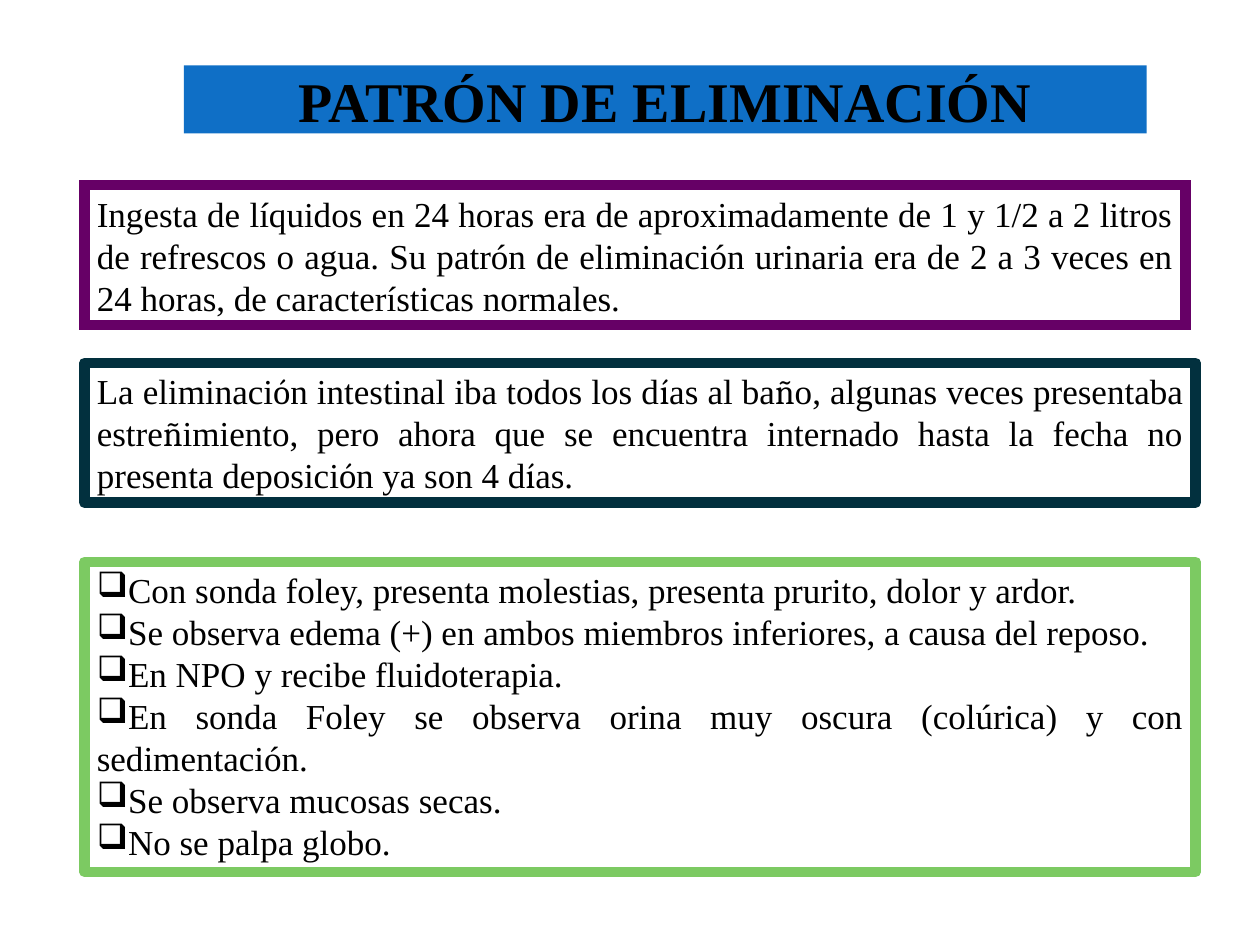
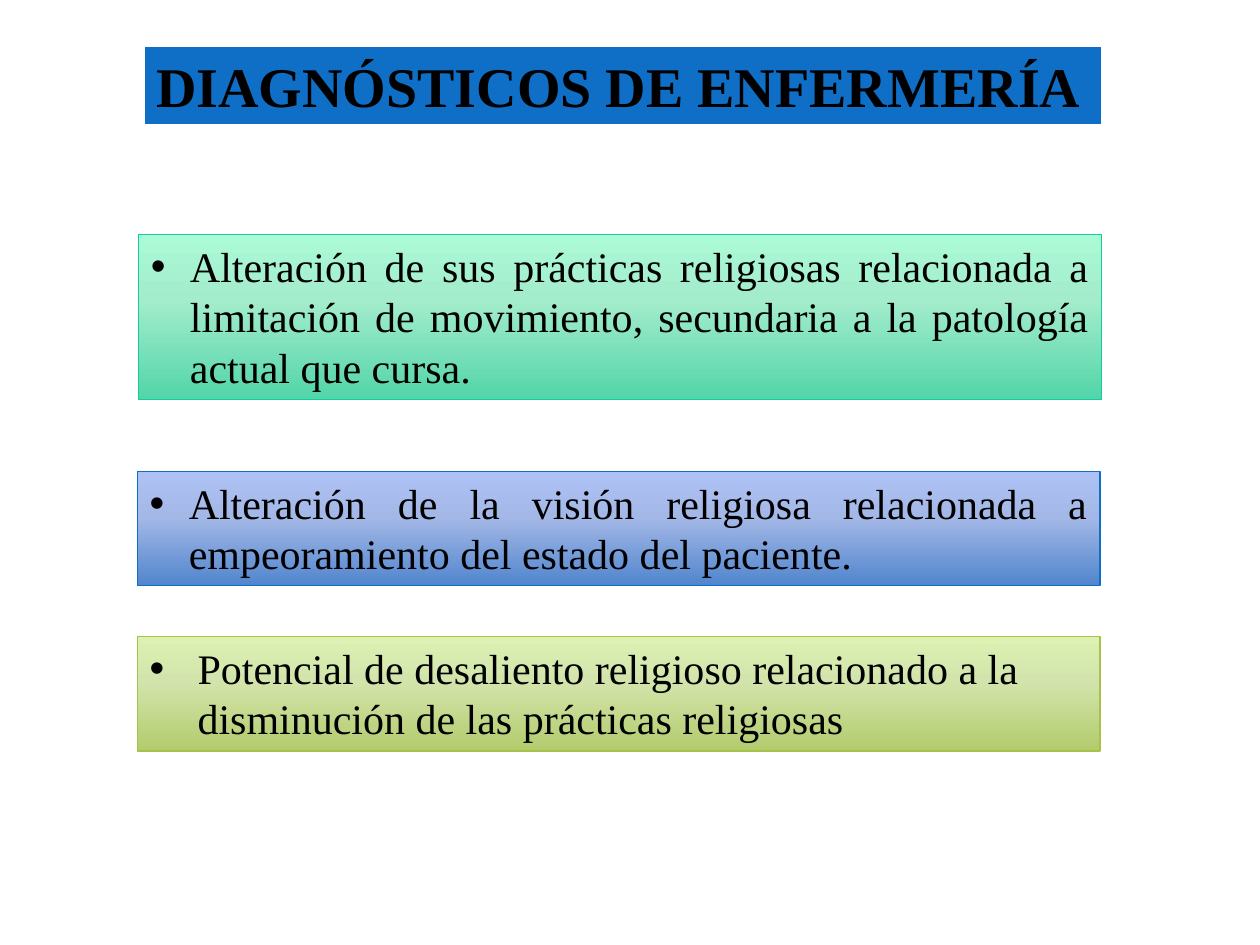
import dataclasses
import itertools

import lxml.etree
import pptx
import pptx.dml.color
import pptx.enum.text
import pptx.oxml.ns
import pptx.util

ALIGN = pptx.enum.text.PP_ALIGN
ANCHOR = pptx.enum.text.MSO_ANCHOR


@dataclasses.dataclass(frozen=True)
class Theme:
    columns: int = 100
    rows: int = 75
    font: str = "Times New Roman"
    accent_font: str = "Cambria"
    ink: str = "000000"
    paper: str = "FFFFFF"
    band: str = "0F6FC6"
    purple: str = "660066"
    navy: str = "02303E"
    green: str = "7CCA62"
    mint: tuple = ("ABFAD6", "A3ECCC", "52D5A9")
    mint_edge: str = "10CF9B"
    sky: tuple = ("ADC1F5", "A4B8E7", "5085CD")
    lime: tuple = ("DDF1B4", "D2E4AB", "B3CB6C")
    lime_edge: str = "A5C249"
    stops: tuple = (0, 40, 100)
    frame_width: float = 6
    edge_width: float = 0.75
    title_size: float = 32
    finding_size: float = 20
    diagnosis_size: float = 24


def rgb(code):
    return pptx.dml.color.RGBColor.from_string(code)


def apply(target, values):
    for name, value in values.items():
        setattr(target, name, value)


def add_element(parent, tag, **attributes):
    return lxml.etree.SubElement(parent, pptx.oxml.ns.qn(tag), attributes)


class Composer:
    def __init__(self, theme):
        self.theme = theme
        self.deck = pptx.Presentation()
        apply(self.deck, {"slide_width": pptx.util.Inches(10),
                          "slide_height": pptx.util.Inches(7.5)})
        self.page = None

    def new_page(self):
        self.page = self.deck.slides.add_slide(self.deck.slide_layouts[6])

    def place(self, column, row, width, height):
        across = self.deck.slide_width / self.theme.columns
        down = self.deck.slide_height / self.theme.rows
        return [round(count * step) for count, step in
                zip((column, row, width, height), (across, down, across, down))]

    def box(self, area, **frame):
        shape = self.page.shapes.add_textbox(*self.place(*area))
        apply(shape.text_frame, {"word_wrap": True, **frame})
        return shape

    def outline(self, box, color, width, join="a:round"):
        box.line.color.rgb = rgb(color)
        box.line.width = pptx.util.Pt(width)
        limit = {"lim": "800000"} if join == "a:miter" else {}
        line = box._element.spPr.find(pptx.oxml.ns.qn("a:ln"))
        add_element(line, join, **limit)

    def shade(self, box, colors):
        box.fill.gradient()
        box.fill.gradient_angle = 270
        stop_list = box._element.spPr.find(".//" + pptx.oxml.ns.qn("a:gsLst"))
        for stop in list(stop_list):
            stop_list.remove(stop)
        for position, color in zip(self.theme.stops, colors):
            stop = add_element(stop_list, "a:gs", pos=str(position * 1000))
            add_element(stop, "a:srgbClr", val=color)

    def bullet(self, para, symbol, indent=0):
        properties = para._p.get_or_add_pPr()
        offset = pptx.util.Inches(indent)
        properties.set("marL", str(offset))
        properties.set("indent", str(-offset))
        if symbol == "•":
            add_element(properties, "a:buFont", typeface="Arial")
        add_element(properties, "a:buChar", char=symbol)

    def fill_para(self, para, text, size, align=ALIGN.JUSTIFY, bold=False, accents=""):
        para.alignment = align
        for accented, letters in itertools.groupby(text, lambda letter: letter in accents):
            span = para.add_run()
            span.text = "".join(letters)
            apply(span.font, {
                "name": self.theme.accent_font if accented else self.theme.font,
                "size": pptx.util.Pt(size),
                "bold": bold,
            })
            span.font.color.rgb = rgb(self.theme.ink)

    def title(self, area, text, align, **frame):
        box = self.box(area, **frame)
        box.fill.solid()
        box.fill.fore_color.rgb = rgb(self.theme.band)
        self.fill_para(box.text_frame.paragraphs[0], text, self.theme.title_size, align,
                       bold=True)
        return box

    def finding(self, area, color, lines, symbol=None, join="a:round", accents="", **frame):
        box = self.box(area, **frame)
        self.outline(box, color, self.theme.frame_width, join)
        for index, line in enumerate(lines):
            body = box.text_frame
            para = body.add_paragraph() if index else body.paragraphs[0]
            if symbol:
                self.bullet(para, symbol)
            self.fill_para(para, line, self.theme.finding_size, accents=accents)

    def diagnosis(self, area, colors, edge, text, indent=0.31, align=ALIGN.JUSTIFY):
        box = self.box(area)
        self.shade(box, colors)
        self.outline(box, edge, self.theme.edge_width)
        para = box.text_frame.paragraphs[0]
        self.bullet(para, "•", indent)
        self.fill_para(para, text, self.theme.diagnosis_size, align)


def elimination_page(composer):
    theme = composer.theme
    composer.new_page()
    composer.title((14.6, 5.2, 76.4, 5.4), "PATRÓN DE ELIMINACIÓN", ALIGN.CENTER,
                   vertical_anchor=ANCHOR.BOTTOM, margin_left=0, margin_right=0,
                   margin_bottom=0)
    composer.finding(
        (6.7, 14.7, 87.4, 11.1), theme.purple,
        ["Ingesta de líquidos en 24 horas era de aproximadamente de 1 y 1/2 a 2 litros de "
         "refrescos o agua. Su patrón de eliminación urinaria era de 2 a 3 veces en 24 horas, "
         "de características normales."],
        join="a:miter", vertical_anchor=ANCHOR.MIDDLE)
    composer.finding(
        (6.7, 28.8, 88.2, 11.1), theme.navy,
        ["La eliminación intestinal iba todos los días al baño, algunas veces presentaba "
         "estreñimiento, pero ahora que se encuentra internado hasta la fecha no presenta "
         "deposición ya son 4 días."],
        accents="óíñ")
    composer.finding(
        (6.7, 44.6, 88.2, 24.6), theme.green,
        ["Con sonda foley, presenta molestias, presenta prurito, dolor y ardor.",
         "Se observa edema (+) en ambos miembros inferiores, a causa del reposo.",
         "En NPO y recibe fluidoterapia.",
         "En sonda Foley se observa orina muy oscura (colúrica) y con sedimentación.",
         "Se observa mucosas secas.",
         "No se palpa globo."],
        symbol="❑")


def diagnosis_page(composer):
    theme = composer.theme
    composer.new_page()
    title = composer.title((11.4, 3.6, 76.1, 6.4), "DIAGNÓSTICOS DE ENFERMERÍA", ALIGN.LEFT)
    composer.outline(title, theme.paper, 2)
    composer.diagnosis(
        (11, 18.6, 76.4, 13.1), theme.mint, theme.mint_edge,
        "Alteración de sus prácticas religiosas relacionada a limitación de movimiento, "
        "secundaria a la patología actual que cursa.")
    composer.diagnosis(
        (10.9, 37.4, 76.4, 9.1), theme.sky, theme.band,
        "Alteración de la visión religiosa relacionada a empeoramiento del estado del paciente.")
    composer.diagnosis(
        (10.9, 50.5, 76.4, 9.1), theme.lime, theme.lime_edge,
        "Potencial de desaliento religioso relacionado a la disminución de las prácticas "
        "religiosas",
        indent=0.38, align=ALIGN.LEFT)


def main():
    composer = Composer(Theme())
    elimination_page(composer)
    diagnosis_page(composer)
    composer.deck.save("out.pptx")


if __name__ == "__main__":
    main()
